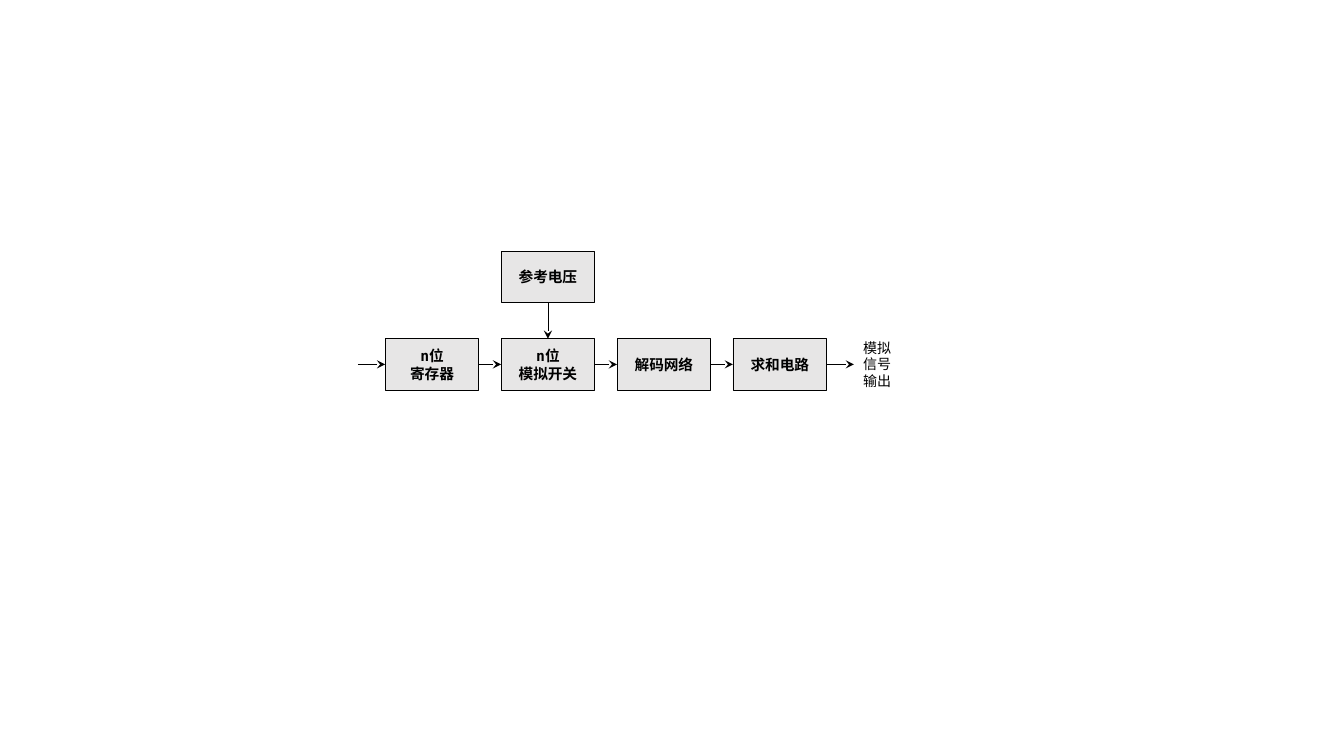
from lxml.etree import SubElement
from pptx import Presentation
from pptx.dml.color import RGBColor
from pptx.enum.shapes import MSO_CONNECTOR, MSO_SHAPE
from pptx.enum.text import MSO_ANCHOR, PP_ALIGN
from pptx.oxml.ns import qn
from pptx.util import Inches, Pt

COLORS = {"block": "E7E6E6", "ink": "000000"}
FONT = "DejaVu Sans Mono"
TOP, LEFT, BOTTOM, RIGHT = range(4)

BLOCK_WIDTH, BLOCK_HEIGHT = 0.93, 0.51
CHAIN_LEFT, CHAIN_TOP, CHAIN_PITCH = 3.82, 3.36, 1.15
REFERENCE_TOP = 2.49
STUB_LENGTH = 0.27
CHAIN_LABELS = ["n位\n寄存器", "n位\n模拟开关", "解码网络", "求和电路"]


class Diagram:
    def __init__(self, slide):
        self.slide = slide

    def color(self, name):
        return RGBColor.from_string(COLORS[name])

    def set_text(self, shape, text, size, bold):
        frame = shape.text_frame
        frame.word_wrap = True
        frame.vertical_anchor = MSO_ANCHOR.MIDDLE
        frame.text = text
        for paragraph in frame.paragraphs:
            paragraph.alignment = PP_ALIGN.CENTER
            for run in paragraph.runs:
                run.font.name = FONT
                run.font.size = Pt(size)
                run.font.bold = bold
                run.font.color.rgb = self.color("ink")

    def block(self, left, top, text):
        shape = self.slide.shapes.add_shape(
            MSO_SHAPE.RECTANGLE, Inches(left), Inches(top),
            Inches(BLOCK_WIDTH), Inches(BLOCK_HEIGHT))
        shape.shadow.inherit = False
        shape.fill.solid()
        shape.fill.fore_color.rgb = self.color("block")
        shape.line.color.rgb = self.color("ink")
        shape.line.width = Pt(0.5)
        self.set_text(shape, text, 10.5, True)
        return shape

    def label(self, left, top, width, height, text):
        shape = self.slide.shapes.add_textbox(
            Inches(left), Inches(top), Inches(width), Inches(height))
        shape.text_frame.margin_left = shape.text_frame.margin_right = 0
        self.set_text(shape, text, 10, False)

    def arrow(self, start, end):
        connector = self.slide.shapes.add_connector(
            MSO_CONNECTOR.STRAIGHT, *(Inches(value) for value in start + end))
        connector.line.color.rgb = self.color("ink")
        connector.line.width = Pt(0.5)
        properties = connector._element.spPr
        SubElement(properties.find(qn("a:ln")), qn("a:tailEnd"), type="stealth")
        SubElement(properties, qn("a:effectLst"))
        return connector

    def join(self, source, source_side, target, target_side):
        connector = self.arrow((0, 0), (1, 1))
        connector.begin_connect(source, source_side)
        connector.end_connect(target, target_side)


def main():
    presentation = Presentation()
    presentation.slide_width = Inches(13.33)
    presentation.slide_height = Inches(7.5)
    slide = presentation.slides.add_slide(presentation.slide_layouts[6])
    diagram = Diagram(slide)

    lefts = [CHAIN_LEFT + CHAIN_PITCH * index for index in range(len(CHAIN_LABELS))]
    chain = [diagram.block(left, CHAIN_TOP, text)
             for left, text in zip(lefts, CHAIN_LABELS)]
    reference = diagram.block(lefts[1], REFERENCE_TOP, "参考电压")

    for source, target in zip(chain, chain[1:]):
        diagram.join(source, RIGHT, target, LEFT)
    diagram.join(reference, BOTTOM, chain[1], TOP)

    middle = CHAIN_TOP + BLOCK_HEIGHT / 2
    chain_right = lefts[-1] + BLOCK_WIDTH
    output_left = chain_right + STUB_LENGTH
    entry = diagram.arrow((CHAIN_LEFT - STUB_LENGTH, middle), (CHAIN_LEFT, middle))
    entry.end_connect(chain[0], LEFT)
    outlet = diagram.arrow((chain_right, middle), (output_left, middle))
    outlet.begin_connect(chain[-1], RIGHT)
    diagram.label(output_left, CHAIN_TOP, 0.46, BLOCK_HEIGHT, "模拟\n信号\n输出")

    presentation.save("out.pptx")


if __name__ == "__main__":
    main()
